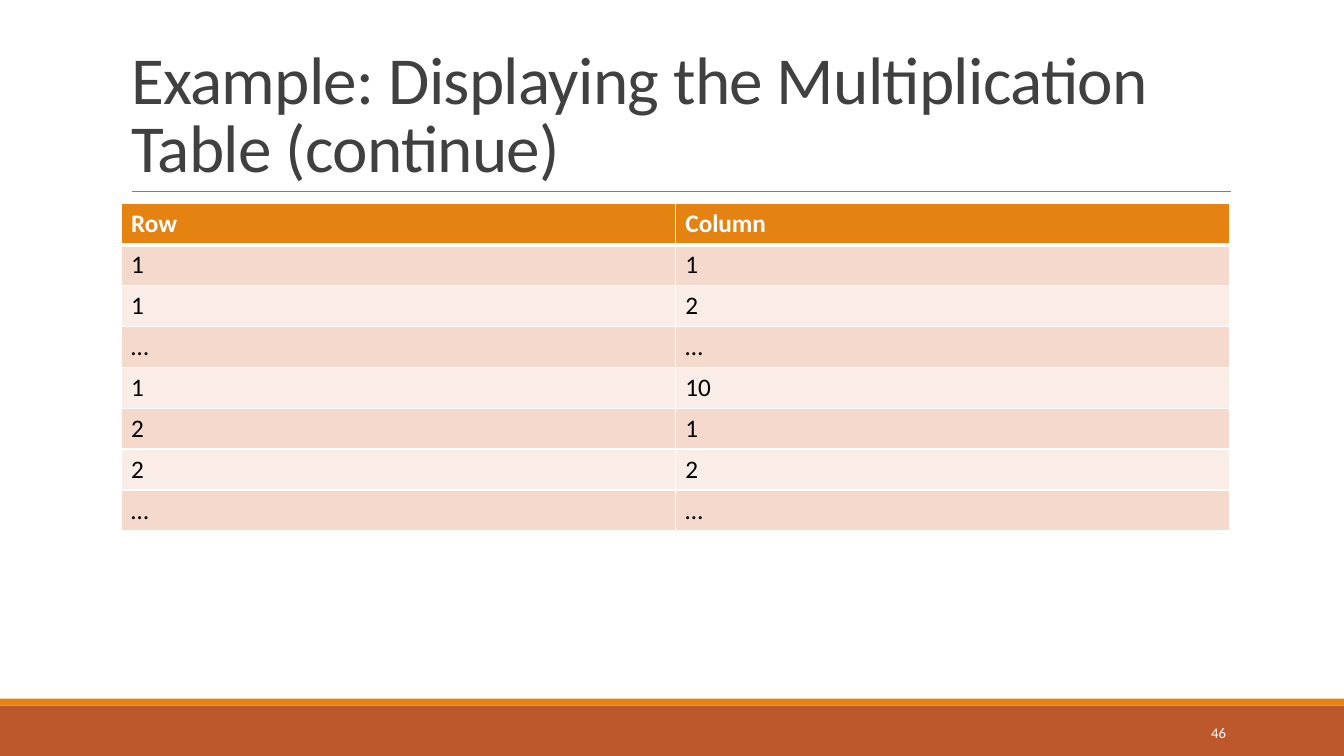
from lxml import etree
from pptx import Presentation
from pptx.dml.color import RGBColor
from pptx.enum import shapes, text
from pptx.oxml.ns import qn
from pptx.util import Pt

TITLE = "Example: Displaying the Multiplication Table (continue)"
ROWS = [
    ("Row", "Column"),
    ("1", "1"),
    ("1", "2"),
    ("…", "…"),
    ("1", "10"),
    ("2", "1"),
    ("2", "2"),
    ("…", "…"),
]
NUMBER = "46"
FONT = "Calibri"
HUES = {
    "rust": "BD582C", "orange": "E48312", "rule": "808080", "title": "404040",
    "dark": "F5D9CC", "light": "FAEDE7", "white": "FFFFFF", "black": "000000",
}
WIDE, HIGH = 960, 540
LEFT, SPAN = 86.4, 792
ROW = 29.2
BARS = [("rust", 504, 36), ("orange", 499, 5)]


def hue(name):
    return RGBColor.from_string(HUES[name])


def style(para, size, color, bold=False):
    font = para.font
    font.name, font.size, font.bold = FONT, Pt(size), bold
    font.color.rgb = hue(color)


def edge(cell, side, width):
    """Draw a white border on one side (L, R, T or B) of a cell."""
    props = cell._tc.get_or_add_tcPr()
    line = etree.SubElement(props, qn("a:ln" + side), w=str(Pt(width)))
    fill = etree.SubElement(line, qn("a:solidFill"))
    etree.SubElement(fill, qn("a:srgbClr"), val=HUES["white"])


def main():
    deck = Presentation()
    deck.slide_width, deck.slide_height = Pt(WIDE), Pt(HIGH)
    slide = deck.slides.add_slide(deck.slide_layouts[5])
    parts = slide.shapes

    for color, top, tall in BARS:
        bar = parts.add_shape(shapes.MSO_SHAPE.RECTANGLE,
                              0, Pt(top), Pt(WIDE), Pt(tall))
        bar.shadow.inherit = False
        bar.fill.solid()
        bar.fill.fore_color.rgb = hue(color)
        bar.line.fill.background()

    rule = parts.add_connector(shapes.MSO_CONNECTOR.STRAIGHT,
                               Pt(94.2), Pt(136.8), Pt(879), Pt(136.8))
    rule.line.color.rgb = hue("rule")
    rule.line.width = Pt(0.5)
    etree.SubElement(rule._element.spPr, qn("a:effectLst"))

    title = parts.title
    title.left, title.top = Pt(LEFT), Pt(22.5)
    title.width, title.height = Pt(SPAN), Pt(114.2)
    frame = title.text_frame
    frame.text = TITLE
    frame.word_wrap = True
    frame.auto_size = text.MSO_AUTO_SIZE.NONE
    frame.vertical_anchor = text.MSO_ANCHOR.BOTTOM
    para = frame.paragraphs[0]
    para.alignment = text.PP_ALIGN.LEFT
    para.line_spacing = 0.85
    style(para, 48, "title")
    para.runs[0].font._element.set("spc", "-50")

    table = parts.add_table(len(ROWS), len(ROWS[0]), Pt(LEFT), Pt(145.6),
                            Pt(SPAN), Pt(ROW * len(ROWS))).table
    for r, row in enumerate(ROWS):
        table.rows[r].height = Pt(ROW)
        head = r == 0
        back = "orange" if head else "dark" if r % 2 else "light"
        for c, word in enumerate(row):
            cell = table.cell(r, c)
            cell.text = word
            style(cell.text_frame.paragraphs[0], 18,
                  "white" if head else "black", head)
            for side in "LRTB":
                thick = (r, side) in ((0, "B"), (1, "T"))
                edge(cell, side, 3 if thick else 1)
            cell.fill.solid()
            cell.fill.fore_color.rgb = hue(back)

    box = parts.add_textbox(Pt(779.8), Pt(508.6), Pt(103), Pt(28.8))
    frame = box.text_frame
    frame.word_wrap = True
    frame.vertical_anchor = text.MSO_ANCHOR.MIDDLE
    frame.text = NUMBER
    para = frame.paragraphs[0]
    para.alignment = text.PP_ALIGN.RIGHT
    style(para, 10.5, "white")

    deck.save("out.pptx")


if __name__ == "__main__":
    main()
